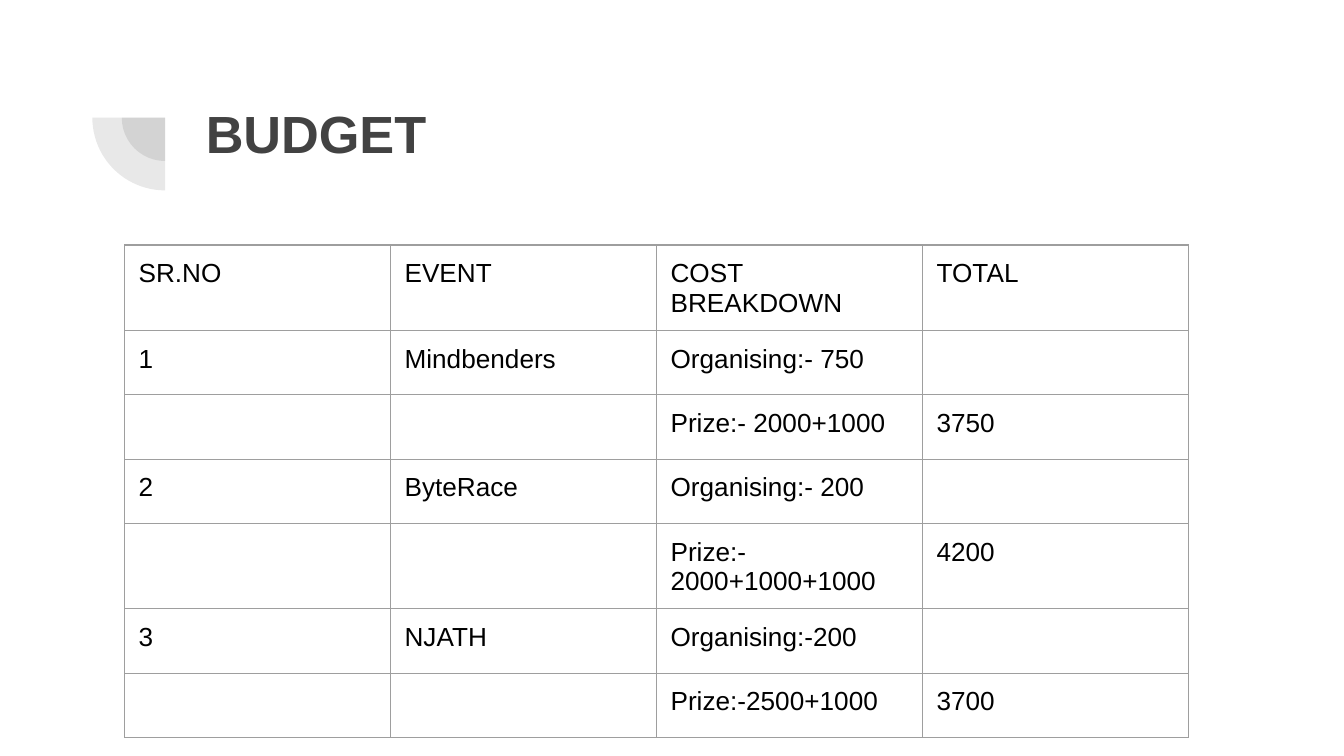
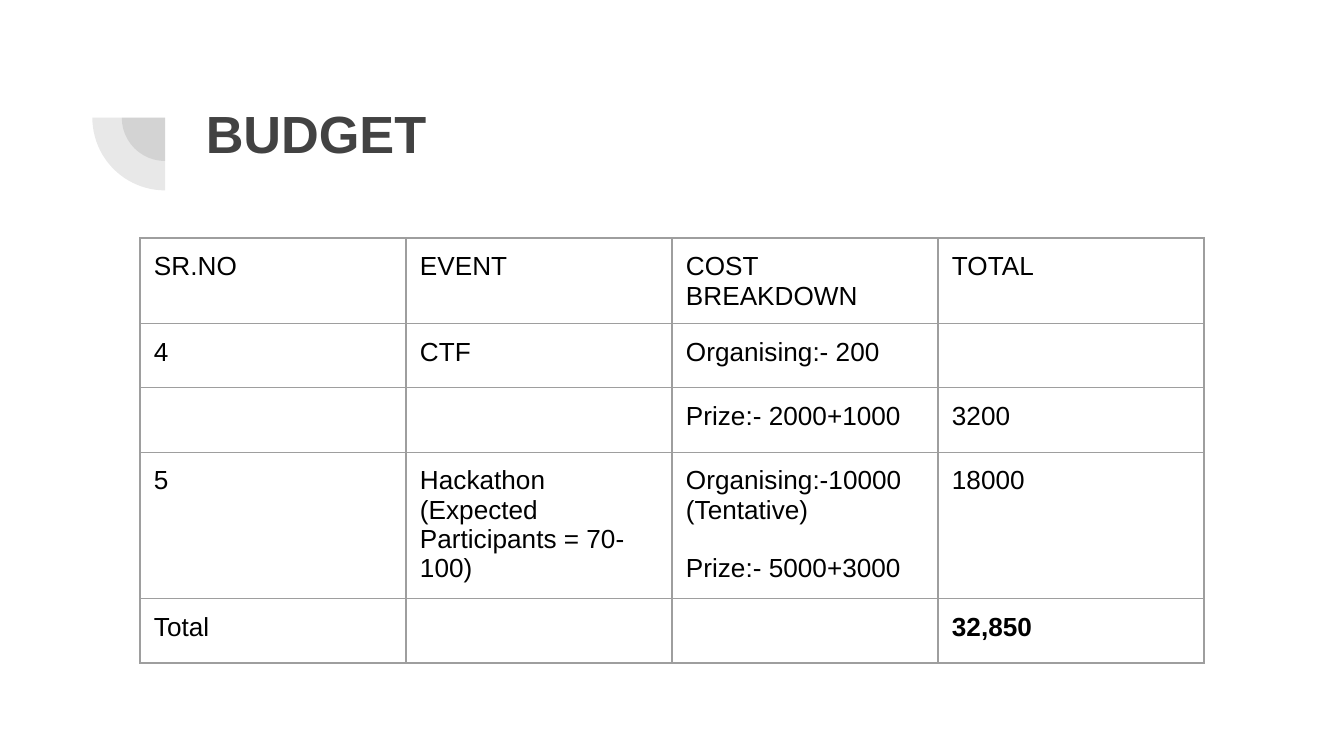
import pptx
import pptx.dml.color
import pptx.enum.shapes
import pptx.oxml
import pptx.oxml.ns
import pptx.util

HEAD = ("SR.NO", "EVENT", "COST BREAKDOWN", "TOTAL")
# Per slide: table left, table top, then rows, each led by its count of text
# lines; a blank line in a cell opens a gap.
SLIDES = [
    (89, 175, [
        (2, HEAD),
        (1, ("1", "Mindbenders", "Organising:- 750", "")),
        (1, ("", "", "Prize:- 2000+1000", "3750")),
        (1, ("2", "ByteRace", "Organising:- 200", "")),
        (2, ("", "", "Prize:- 2000+1000+1000", "4200")),
        (1, ("3", "NJATH", "Organising:-200", "")),
        (1, ("", "", "Prize:-2500+1000", "3700")),
    ]),
    (100, 170, [
        (2, HEAD),
        (1, ("4", "CTF", "Organising:- 200", "")),
        (1, ("", "", "Prize:- 2000+1000", "3200")),
        (4, ("5", "Hackathon\n(Expected Participants = 70-100)",
             "Organising:-10000 (Tentative)\n\nPrize:- 5000+3000", "18000")),
        (1, ("Total", "", "", "32,850")),
    ]),
]
TITLE = "BUDGET"
FONT = "Arial"
DARK, BLACK, GREY = "424242", "000000", "9E9E9E"
COL, ROW, LINE, PAD, FOOT = 190, 46, 21, 10, 5
PIE_X, PIE_Y, RADII = 118, 84, (31, 52)


def px(n):
    return pptx.util.Emu(n * 9525)


def rgb(code):
    return pptx.dml.color.RGBColor.from_string(code)


def xml(name, attrs, body=""):
    space = pptx.oxml.ns.nsdecls("a")
    return pptx.oxml.parse_xml(f"<a:{name} {space} {attrs}>{body}</a:{name}>")


def write(frame, text, size=14, color=BLACK, bold=False):
    """Fill a frame, one paragraph a line; a blank line becomes space before."""
    gap, para = False, None
    for line in text.split("\n"):
        if text and not line:
            gap = True
            continue
        para = frame.add_paragraph() if para else frame.paragraphs[0]
        if gap:
            para.space_before = pptx.util.Pt(size * 1.12)
        if line:
            run = para.add_run()
            run.text = line
            font = run.font
            font.name, font.size, font.bold = FONT, pptx.util.Pt(size), bold
            font.color.rgb = rgb(color)
        para._p.append(xml("endParaRPr", f'sz="{size * 100}"',
                           f'<a:latin typeface="{FONT}"/>'))
        gap = False


def pad(box, foot=PAD):
    box.margin_left = box.margin_right = box.margin_top = px(PAD)
    box.margin_bottom = px(foot)


def pie(slide, r):
    """Draw a translucent quarter disc, below and left of its centre."""
    shape = slide.shapes.add_shape(
        pptx.enum.shapes.MSO_SHAPE.PIE,
        px(PIE_X - r), px(PIE_Y - r), px(2 * r), px(2 * r))
    shape.adjustments[0], shape.adjustments[1] = 108, 162
    shape.rotation = 270
    shape.shadow.inherit = False
    shape.line.fill.background()
    shape.fill.solid()
    shape.fill.fore_color.rgb = rgb(DARK)
    tint = shape._element.spPr.find(".//" + pptx.oxml.ns.qn("a:srgbClr"))
    tint.append(xml("alpha", 'val="12000"'))


def header(slide):
    for r in RADII:
        pie(slide, r)
    box = slide.shapes.add_textbox(px(137), px(62), px(738), px(105))
    frame = box.text_frame
    frame.word_wrap = True
    pad(frame)
    write(frame, TITLE, size=28, color=DARK, bold=True)


def edge(cell):
    props = cell._tc.get_or_add_tcPr()
    for i, side in enumerate(("lnL", "lnR", "lnT", "lnB")):
        props.insert(i, xml(
            side, 'w="9525"',
            f'<a:solidFill><a:srgbClr val="{GREY}"/></a:solidFill>'))


def table(slide, left, top, rows):
    highs = [max(ROW, 19 + LINE * lines) for lines, _ in rows]
    grid = slide.shapes.add_table(
        len(rows), len(HEAD), px(left), px(top),
        px(COL * len(HEAD)), px(sum(highs))).table
    grid.first_row = grid.horz_banding = False
    for y, (_, row) in enumerate(rows):
        grid.rows[y].height = px(highs[y])
        for x, text in enumerate(row):
            cell = grid.cell(y, x)
            pad(cell, FOOT)
            cell.fill.background()
            edge(cell)
            write(cell.text_frame, text, bold=row[0] == "Total" and x > 0)


def main():
    deck = pptx.Presentation()
    deck.slide_width, deck.slide_height = px(960), px(540)
    for left, top, rows in SLIDES:
        slide = deck.slides.add_slide(deck.slide_layouts[6])
        header(slide)
        table(slide, left, top, rows)
    deck.save("out.pptx")


if __name__ == "__main__":
    main()
